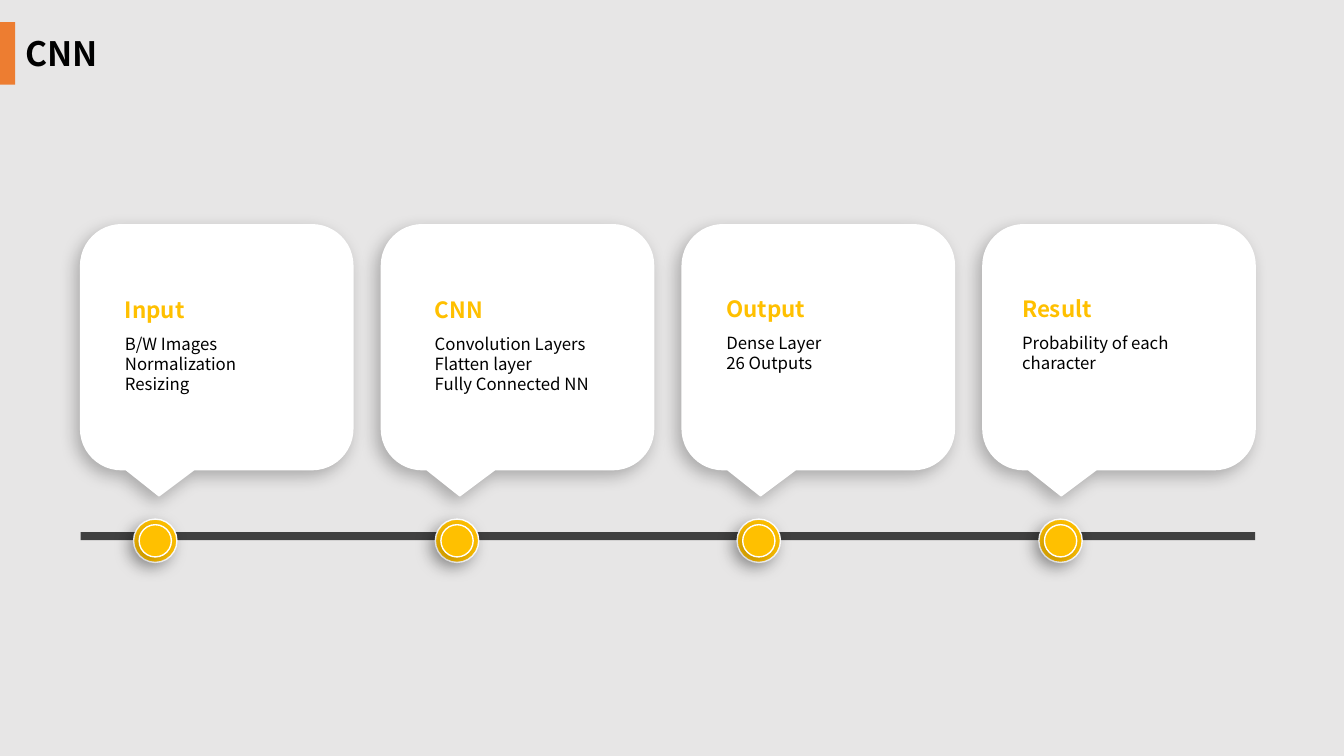
"""Build the CNN timeline slide with four callout cards."""
from lxml.etree import SubElement
from pptx import Presentation
from pptx.dml.color import RGBColor
from pptx.enum.shapes import MSO_SHAPE
from pptx.enum.text import PP_ALIGN
from pptx.oxml.ns import qn
from pptx.util import Inches, Pt

FONT = "Noto Sans CJK SC"
GREY = RGBColor(0xE7, 0xE6, 0xE6)
ORANGE = RGBColor(0xED, 0x7D, 0x31)
DARK = RGBColor(0x40, 0x40, 0x40)
GOLD = RGBColor(0xFF, 0xC0, 0x00)
WHITE = RGBColor(0xFF, 0xFF, 0xFF)
BLACK = RGBColor(0, 0, 0)

deck = Presentation()
deck.slide_width, deck.slide_height = Inches(13.33), Inches(7.5)
slide = deck.slides.add_slide(deck.slide_layouts[6])
slide.background.fill.solid()
slide.background.fill.fore_color.rgb = GREY


def draw(kind, box, fill, raised=False):
    shape = slide.shapes.add_shape(kind, *map(Inches, box))
    shape.shadow.inherit = False
    shape.fill.solid()
    shape.fill.fore_color.rgb = fill
    if not raised:
        shape.line.fill.background()
        return shape
    shape.line.color.rgb = WHITE
    shape.line.width = Pt(1)
    effect = shape._element.spPr.find(qn("a:effectLst"))
    shade = SubElement(effect, qn("a:outerShdw"), blurRad=str(Pt(12)),
                       dist=str(Pt(5)), dir=str(135 * 60000),
                       algn="tr", rotWithShape="0")
    tint = SubElement(shade, qn("a:srgbClr"), val="000000")
    SubElement(tint, qn("a:alpha"), val="26000")
    return shape


def write(box, lines, size, color, bold=False, align=PP_ALIGN.LEFT):
    frame = slide.shapes.add_textbox(*map(Inches, box)).text_frame
    frame.word_wrap = True
    frame.text = "\n".join(lines)
    for para in frame.paragraphs:
        para.alignment = align
        para.font.name = FONT
        para.font.size = Pt(size)
        para.font.bold = bold
        para.font.color.rgb = color


LEFT, PITCH, TOP = 0.8, 2.983, 2.23
WIDE, HIGH = 2.7, 2.43
STEP, MID = 2.993, 5.365
CARDS = [
    ("Input", ["B/W Images", "Normalization", "Resizing"], 0.34, 2.89, 2.01),
    ("CNN", ["Convolution Layers", "Flatten layer", "Fully Connected NN"],
     0.43, 2.89, 2.08),
    ("Output", ["Dense Layer", "26 Outputs"], 0.34, 2.88, 2.03),
    ("Result", ["Probability of each character"], 0.29, 2.88, 2.13),
]

draw(MSO_SHAPE.RECTANGLE, (0, 0.22, 0.15, 0.62), ORANGE)
draw(MSO_SHAPE.RECTANGLE, (LEFT, 5.28, 11.65, 0.08), DARK)
for col, (head, lines, inset, top, width) in enumerate(CARDS):
    for size in (0.43, 0.32):
        x = 1.54 + col * STEP - size / 2
        draw(MSO_SHAPE.OVAL, (x, MID - size / 2, size, size), GOLD, True)
    x = LEFT + col * PITCH
    card = draw(MSO_SHAPE.ROUNDED_RECTANGULAR_CALLOUT,
                (x, TOP, WIDE, HIGH), WHITE, True)
    for spot, value in enumerate((-0.212, 0.607, 0.167)):
        card.adjustments[spot] = value
    write((x + inset, top, 2.17, 0.37), [head], 16, GOLD, True)
    align = PP_ALIGN.JUSTIFY if len(lines) > 1 else PP_ALIGN.LEFT
    write((x + inset, top + 0.37, width, 0.71), lines, 12, BLACK, align=align)
write((0.15, 0.28, 3.79, 0.5), ["CNN"], 24, BLACK, True)

deck.save("out.pptx")
